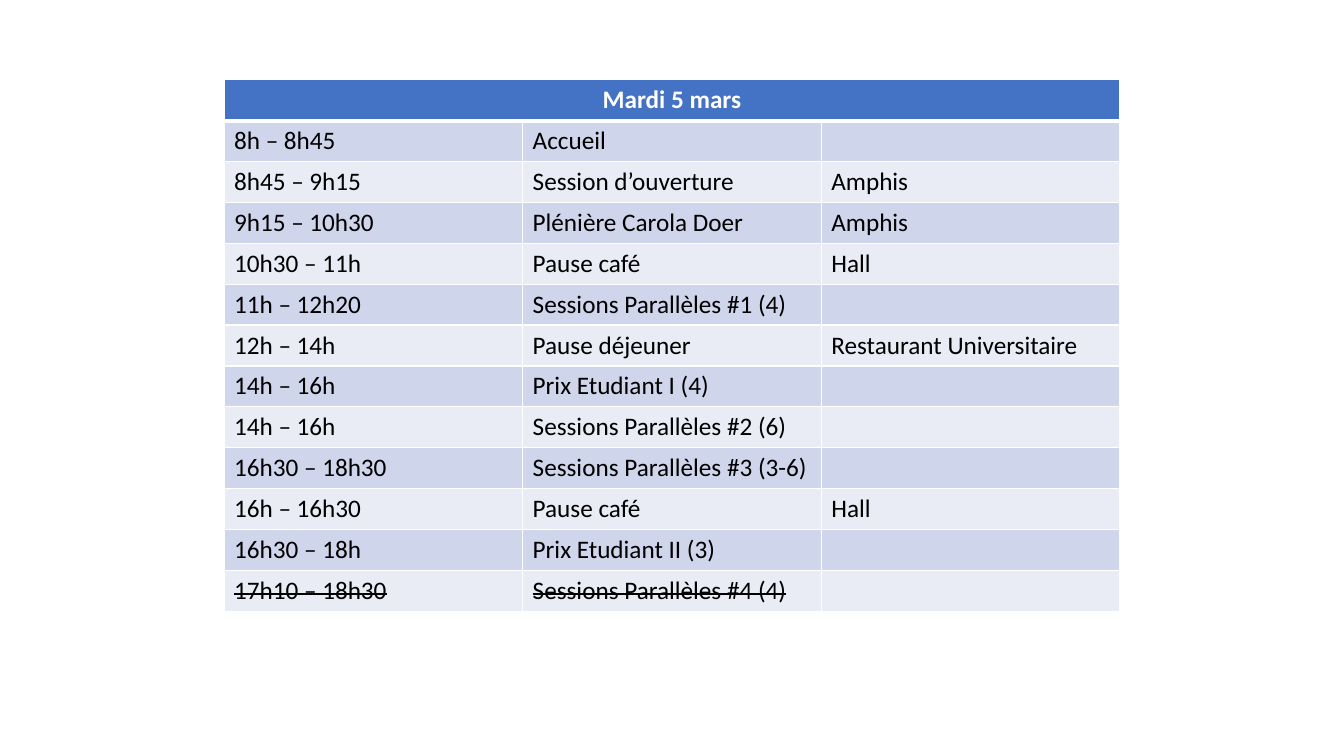
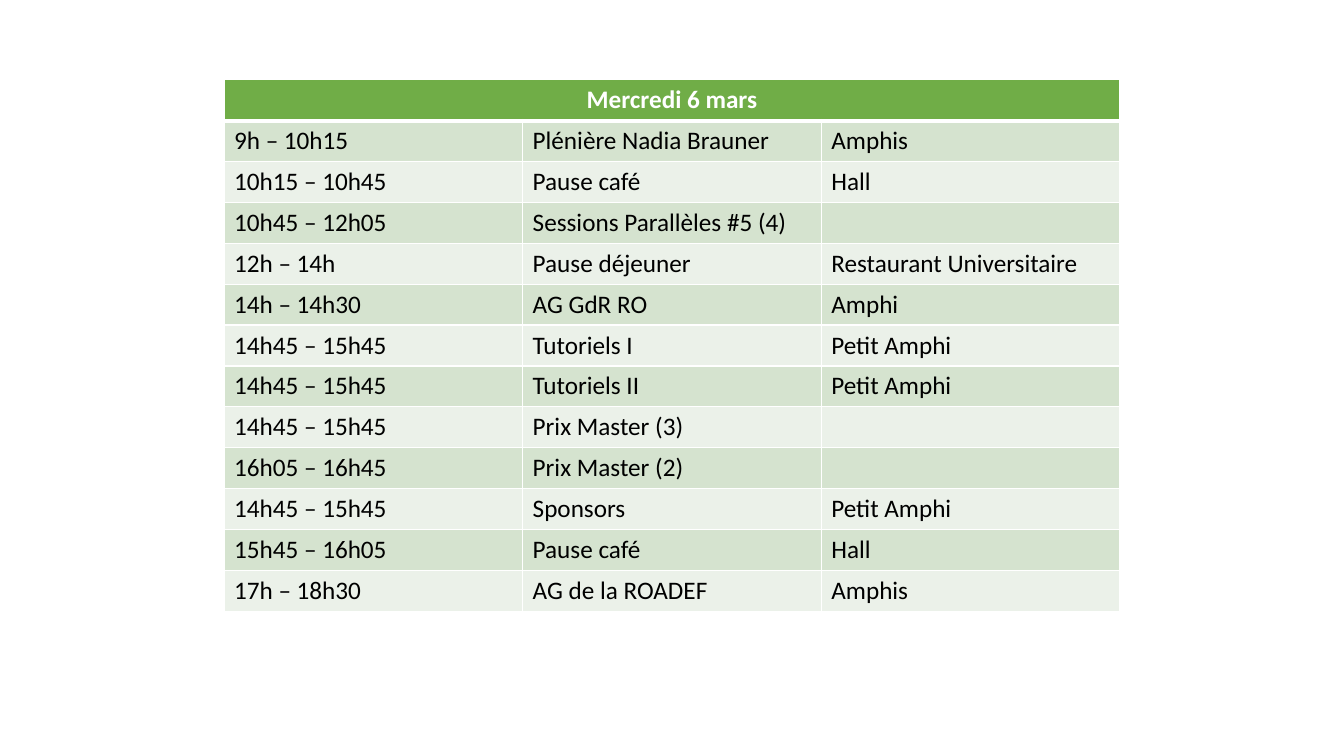
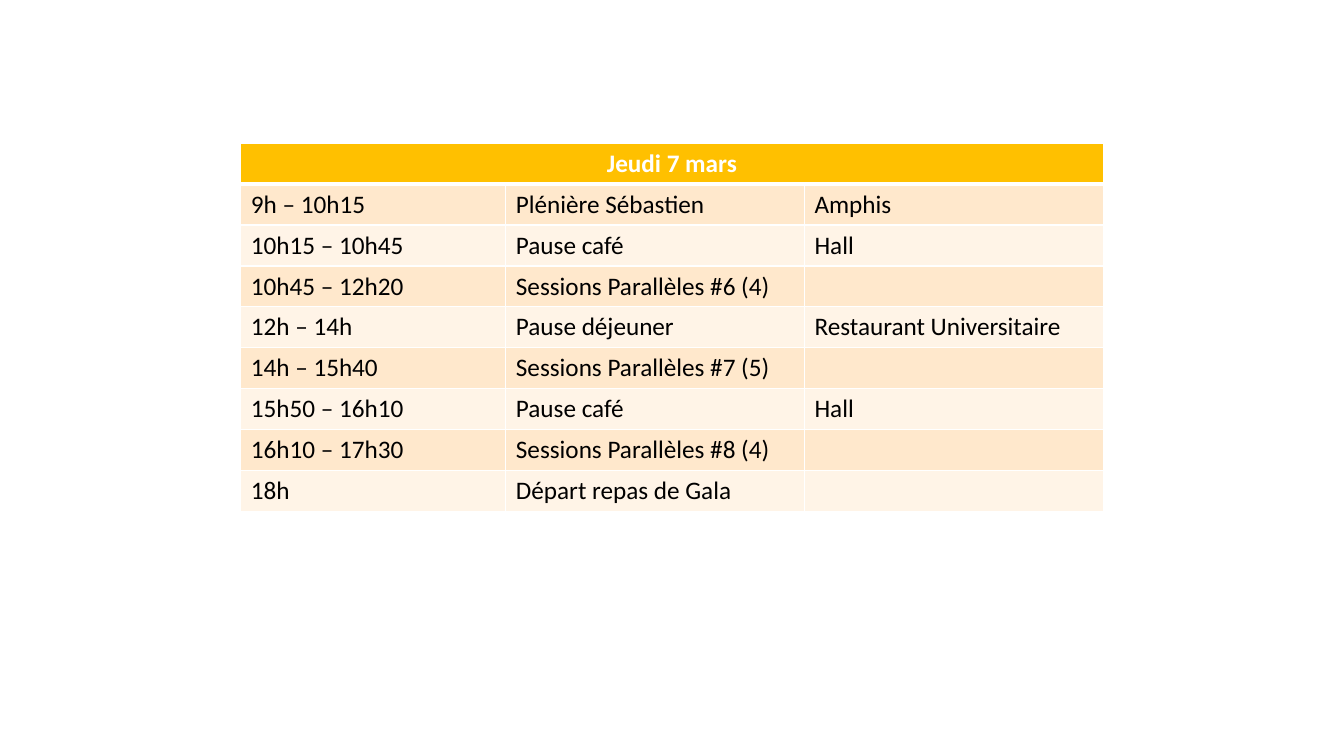
from lxml.etree import SubElement
from pptx import Presentation
from pptx.dml.color import RGBColor
from pptx.enum.text import PP_ALIGN
from pptx.oxml.ns import qn
from pptx.util import Pt

PAGE_WIDTH, PAGE_HEIGHT = 960, 540
ROW_HEIGHT = 29.2
COLUMN_WIDTH = 213.33

TUESDAY = [
    ("8h – 8h45", "Accueil"),
    ("8h45 – 9h15", "Session d’ouverture", "Amphis"),
    ("9h15 – 10h30", "Plénière Carola Doer", "Amphis"),
    ("10h30 – 11h", "Pause café", "Hall"),
    ("11h – 12h20", "Sessions Parallèles #1 (4)"),
    ("12h – 14h", "Pause déjeuner", "Restaurant Universitaire"),
    ("14h – 16h", "Prix Etudiant I (4)"),
    ("14h – 16h", "Sessions Parallèles #2 (6)"),
    ("16h30 – 18h30", "Sessions Parallèles #3 (3-6)"),
    ("16h – 16h30", "Pause café", "Hall"),
    ("16h30 – 18h", "Prix Etudiant II (3)"),
    ("17h10 – 18h30", "Sessions Parallèles #4 (4)"),
]
WEDNESDAY = [
    ("9h – 10h15", "Plénière Nadia Brauner", "Amphis"),
    ("10h15 – 10h45", "Pause café", "Hall"),
    ("10h45 – 12h05", "Sessions Parallèles #5 (4)"),
    ("12h – 14h", "Pause déjeuner", "Restaurant Universitaire"),
    ("14h – 14h30", "AG GdR RO", "Amphi"),
    ("14h45 – 15h45", "Tutoriels I", "Petit Amphi"),
    ("14h45 – 15h45", "Tutoriels II", "Petit Amphi"),
    ("14h45 – 15h45", "Prix Master (3)"),
    ("16h05 – 16h45", "Prix Master (2)"),
    ("14h45 – 15h45", "Sponsors", "Petit Amphi"),
    ("15h45 – 16h05", "Pause café", "Hall"),
    ("17h – 18h30", "AG de la ROADEF", "Amphis"),
]
THURSDAY = [
    ("9h – 10h15", "Plénière Sébastien", "Amphis"),
    ("10h15 – 10h45", "Pause café", "Hall"),
    ("10h45 – 12h20", "Sessions Parallèles #6 (4)"),
    ("12h – 14h", "Pause déjeuner", "Restaurant Universitaire"),
    ("14h – 15h40", "Sessions Parallèles #7 (5)"),
    ("15h50 – 16h10", "Pause café", "Hall"),
    ("16h10 – 17h30", "Sessions Parallèles #8 (4)"),
    ("18h", "Départ repas de Gala"),
]


def color(value):
    return RGBColor.from_string(value)


def write(cell, text, ink="000000", bold=False, align=None, strike=False):
    para = cell.text_frame.paragraphs[0]
    para.alignment = align
    span = para.add_run()
    span.text = text
    span.font.name = "Calibri"
    span.font.size = Pt(18)
    span.font.bold = bold
    span.font.color.rgb = color(ink)
    if strike:
        span._r.get_or_add_rPr().set("strike", "sngStrike")


class Programme:
    """Builds one page per day, each with a centred timetable."""

    rule = "FFFFFF"

    def __init__(self):
        self.deck = Presentation()
        self.deck.slide_width = Pt(PAGE_WIDTH)
        self.deck.slide_height = Pt(PAGE_HEIGHT)
        self.page = None

    def add_page(self):
        self.page = self.deck.slides.add_slide(self.deck.slide_layouts[6])

    def paint(self, cell, fill, top=1, bottom=1):
        properties = cell._tc.get_or_add_tcPr()
        for side, width in (("L", 1), ("R", 1), ("T", top), ("B", bottom)):
            line = SubElement(properties, qn(f"a:ln{side}"), w=str(Pt(width)))
            SubElement(SubElement(line, qn("a:solidFill")), qn("a:srgbClr"), val=self.rule)
        cell.fill.solid()
        cell.fill.fore_color.rgb = color(fill)

    def timetable(self, day, sessions, top, palette, time_width=COLUMN_WIDTH, cancelled=()):
        header, *bands = palette
        widths = [time_width, COLUMN_WIDTH, COLUMN_WIDTH]
        total = sum(widths)
        count = len(sessions) + 1
        table = self.page.shapes.add_table(
            count, len(widths), Pt((PAGE_WIDTH - total) / 2), Pt(top), Pt(total), Pt(count * ROW_HEIGHT)
        ).table
        for column, width in zip(table.columns, widths):
            column.width = Pt(width)
        for row in table.rows:
            row.height = Pt(ROW_HEIGHT)

        title = table.cell(0, 0)
        title.merge(table.cell(0, len(widths) - 1))
        for cell in table.rows[0].cells:
            self.paint(cell, header, bottom=3)
        write(title, day, ink="FFFFFF", bold=True, align=PP_ALIGN.CENTER)

        for number, session in enumerate(sessions, 1):
            cells = list(table.rows[number].cells)
            for cell in cells:
                self.paint(cell, bands[(number - 1) % 2], top=3 if number == 1 else 1)
            for cell, text in zip(cells, session):
                write(cell, text, strike=number in cancelled)


def main():
    programme = Programme()
    programme.add_page()
    programme.timetable("Mardi 5 mars", TUESDAY, 57, ("4472C4", "CFD5EA", "E9EBF5"), cancelled=(12,))
    programme.add_page()
    programme.timetable("Mercredi 6 mars", WEDNESDAY, 57, ("70AD47", "D5E3CF", "EBF1E9"))
    programme.add_page()
    programme.timetable("Jeudi 7 mars", THURSDAY, 102.4, ("FFC000", "FFE8CC", "FFF4E7"), time_width=189.33)
    programme.deck.save("out.pptx")


if __name__ == "__main__":
    main()
